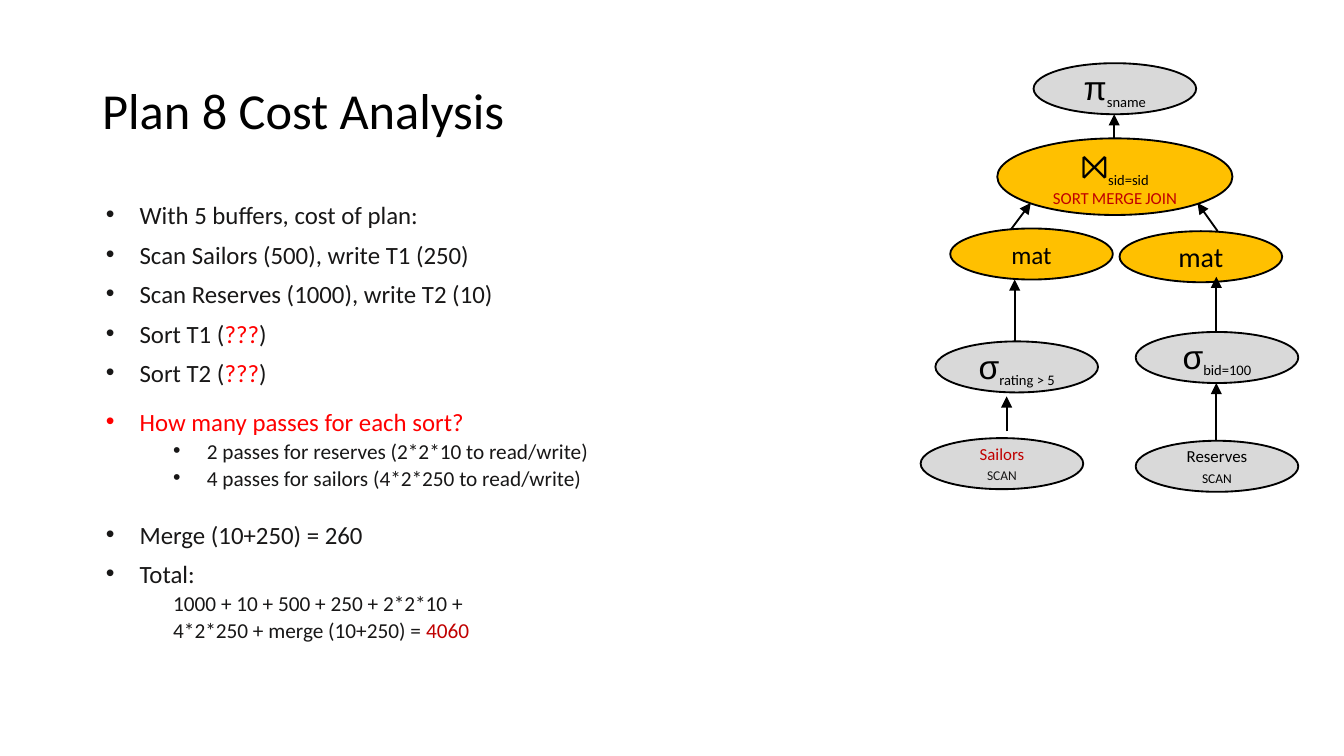
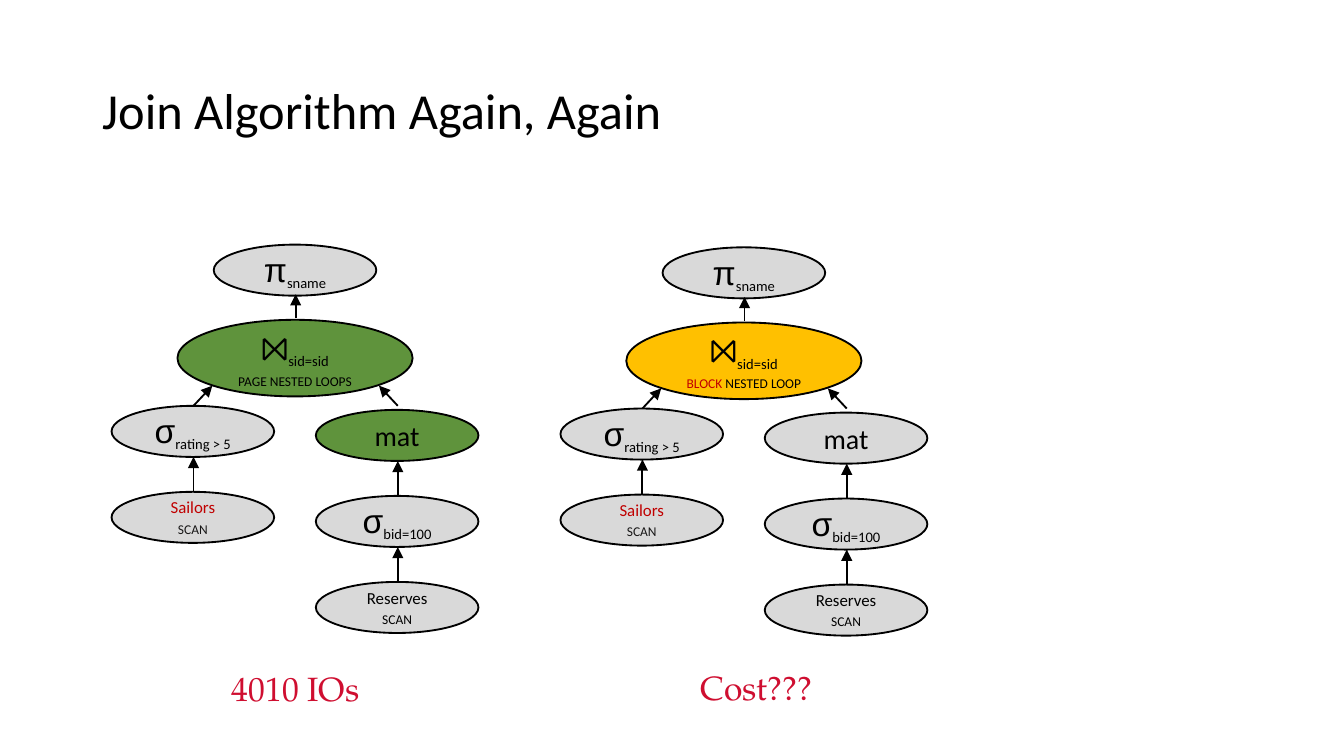
from lxml import etree
from pptx import Presentation
from pptx.dml.color import RGBColor
from pptx.enum.shapes import MSO_CONNECTOR, MSO_SHAPE
from pptx.enum.text import MSO_ANCHOR, PP_ALIGN
from pptx.oxml.ns import qn
from pptx.util import Inches, Pt

OVAL = MSO_SHAPE.OVAL
LINE = MSO_CONNECTOR.STRAIGHT
MIDDLE = MSO_ANCHOR.MIDDLE
CENTER = PP_ALIGN.CENTER

BLACK, INK, RED, DARK = "000000", "181717", "FF0000", "C00000"
GREY, GOLD, GREEN, CRIMSON = "D9D9D9", "FFC000", "5F933C", "CF0E30"
SUB = {"baseline": "-25000"}
CAPS = {"cap": "small"}


def paint(color):
    return RGBColor.from_string(color)


def write(par, runs):
    for text, size, color, font, marks in runs:
        run = par.add_run()
        run.text = text
        run.font.size = Pt(size)
        run.font.name = font
        run.font.color.rgb = paint(color)
        for key, value in marks.items():
            run._r.get_or_add_rPr().set(key, value)


deck = Presentation()
deck.slide_width = Inches(10)
deck.slide_height = Inches(10) * 9 // 16
pages = []
for title in ["Plan 8 Cost Analysis", "Join Algorithm Again, Again"]:
    page = deck.slides.add_slide(deck.slide_layouts[6])
    pages.append(page)
    box = page.shapes.add_textbox(Inches(0.69), Inches(0.3), Inches(8.62), Inches(1.09))
    frame = box.text_frame
    frame.word_wrap = True
    frame.vertical_anchor = MIDDLE
    frame.margin_left = frame.margin_right = Inches(0.07)
    frame.margin_top = frame.margin_bottom = Inches(0.04)
    frame.paragraphs[0].line_spacing = 0.9
    write(frame.paragraphs[0], [(title, 27, BLACK, "Calibri", {})])

steps = [
    (0, 10, True, [("With 5 buffers, cost of plan:", INK)]),
    (0, 10, True, [("Scan Sailors (500), write T1 (250)", INK)]),
    (0, 10, True, [("Scan Reserves (1000), write T2 (10)", INK)]),
    (0, 10, True, [("Sort T1 (", INK), ("???", RED), (")", INK)]),
    (0, 10, True, [("Sort T2 (", INK), ("???", RED), (")", INK)]),
    (0, 15, True, [("How many passes for each sort?", RED)]),
    (1, 5, True, [("2 passes for reserves (2*2*10 to read/write)", INK)]),
    (1, 5, True, [("4 passes for sailors (4*2*250 to read/write)", INK)]),
    (0, 20, True, [("Merge (10+250) = 260", INK)]),
    (0, 10, True, [("Total:", INK)]),
    (1, 5, False, [("1000 + 10 + 500 + 250 + 2*2*10 +", INK)]),
    (1, 5, False, [("4*2*250 + merge (10+250) = ", INK), ("4060", DARK)]),
]
box = pages[0].shapes.add_textbox(Inches(0.69), Inches(1.5), Inches(8.62), Inches(3.57))
frame = box.text_frame
frame.word_wrap = True
for i, (level, gap, dot, parts) in enumerate(steps):
    par = frame.add_paragraph() if i else frame.paragraphs[0]
    par.level = level
    par.line_spacing = 0.7
    par.space_before = Pt(gap)
    size = 11.4 if level else 13.3
    write(par, [(text, size, color, "Calibri", {}) for text, color in parts])
    props = par._p.get_or_add_pPr()
    hang = 0.25 if dot else 0
    props.set("marL", str(Inches(0.5 * level + hang)))
    props.set("indent", str(-Inches(hang)))
    if dot:
        etree.SubElement(props, qn("a:buFont")).set("typeface", "Arial")
        etree.SubElement(props, qn("a:buChar")).set("char", "•")
    else:
        etree.SubElement(props, qn("a:buNone"))

labels = {
    "mat": [[("mat", 15, BLACK, "Calibri", {})]],
    "small mat": [[("mat", 13.5, BLACK, "Calibri", {})]],
    "sailors": [[("Sailors", 9, DARK, "Calibri", {})], [("scan", 9, INK, "Calibri", CAPS)]],
    "reserves": [[("Reserves", 9, BLACK, "Calibri", {})], [("scan", 9, BLACK, "Calibri", CAPS)]],
}
for name, sign, under in [("project", "π", "sname"), ("rating", "σ", "rating > 5"),
                          ("bid", "σ", "bid=100"), ("join", "⨝", "sid=sid")]:
    labels[name] = [[(sign, 18, BLACK, "Arial", {}), (under, 13.5, BLACK, "Calibri", SUB)]]

merge = [
    ("small mat", 7.07, 1.7, GOLD),
    ("mat", 8.33, 1.72, GOLD),
    ("arrow", 7.52, 1.71, 7.67, 1.51),
    ("arrow", 9.06, 1.72, 8.91, 1.51),
    ("rating", 6.96, 2.54, GREY),
    ("sailors", 6.85, 3.26, GREY),
    ("arrow", 9.05, 3.32, 9.05, 2.85),
    ("reserves", 8.45, 3.28, GREY),
    ("bid", 8.45, 2.47, GREY),
    ("arrow", 7.49, 3.21, 7.49, 2.95),
    ("project", 7.69, 0.47, GREY),
    ("join", 7.42, 1.03, GOLD),
    ("arrow", 7.55, 2.54, 7.55, 2.08),
    ("arrow", 8.29, 1.03, 8.29, 0.85),
    ("arrow", 9.05, 2.47, 9.05, 2.06),
]
plans = [(pages[0].shapes, merge, [("SORT MERGE JOIN", DARK)])]

loops = [
    (4.17, 3.04, GOLD, GREY, [("block", DARK), (" nested loop", BLACK)]),
    (0.83, 3.02, GREEN, GREEN, [("page nested loops", BLACK)]),
]
for x, y, tint, shade, method in loops:
    left, mid, right = x + 0.61, x + 1.37, x + 2.13
    tree = [
        ("rating", x, y, GREY),
        ("sailors", x, y + 0.64, GREY),
        ("arrow", left, y + 0.64, left, y + 0.38),
        ("reserves", x + 1.52, y + 1.31, GREY),
        ("bid", x + 1.52, y + 0.67, GREY),
        ("arrow", right, y + 1.31, right, y + 1.05),
        ("project", x + 0.76, y - 1.2, GREY),
        ("join", x + 0.49, y - 0.64, tint),
        ("arrow", right, y, right - 0.14, y - 0.15),
        ("arrow", left, y, left + 0.14, y - 0.15),
        ("arrow", mid, y - 0.65, mid, y - 0.83),
        ("mat", x + 1.52, y + 0.03, shade),
        ("arrow", right, y + 0.67, right, y + 0.41),
    ]
    plans.append((pages[1].shapes.add_group_shape().shapes, tree, method))

for board, tree, method in plans:
    for name, *spec in tree:
        if name == "arrow":
            arrow = board.add_connector(LINE, *[Inches(end) for end in spec])
            arrow.line.color.rgb = paint(BLACK)
            arrow.line.width = Pt(1)
            etree.SubElement(arrow.line._get_or_add_ln(), qn("a:tailEnd")).set("type", "triangle")
            etree.SubElement(arrow._element.spPr, qn("a:effectLst"))
            continue
        x, y, fill = spec
        wide, high = (1.75, 0.57) if name == "join" else (1.21, 0.38)
        node = board.add_shape(OVAL, Inches(x), Inches(y), Inches(wide), Inches(high))
        node.shadow.inherit = False
        node.fill.solid()
        node.fill.fore_color.rgb = paint(fill)
        node.line.color.rgb = paint(BLACK)
        node.line.width = Pt(1)
        frame = node.text_frame
        frame.vertical_anchor = MIDDLE
        frame.margin_left = frame.margin_right = Inches(0.07)
        frame.margin_top = frame.margin_bottom = Inches(0.04)
        for i, runs in enumerate(labels[name]):
            par = frame.add_paragraph() if i else frame.paragraphs[0]
            par.alignment = CENTER
            write(par, runs)
        if name == "join":
            par.add_line_break()
            write(par, [(text, 9, color, "Calibri", CAPS) for text, color in method])

for text, x, y in [("4010 IOs", 1.42, 4.93), ("Cost???", 4.85, 4.92)]:
    box = pages[1].shapes.add_textbox(Inches(x), Inches(y), Inches(1.56), Inches(0.38))
    frame = box.text_frame
    frame.word_wrap = False
    frame.vertical_anchor = MIDDLE
    frame.paragraphs[0].alignment = CENTER
    write(frame.paragraphs[0], [(text, 18, CRIMSON, "TeX Gyre Pagella", {})])

deck.save("out.pptx")
